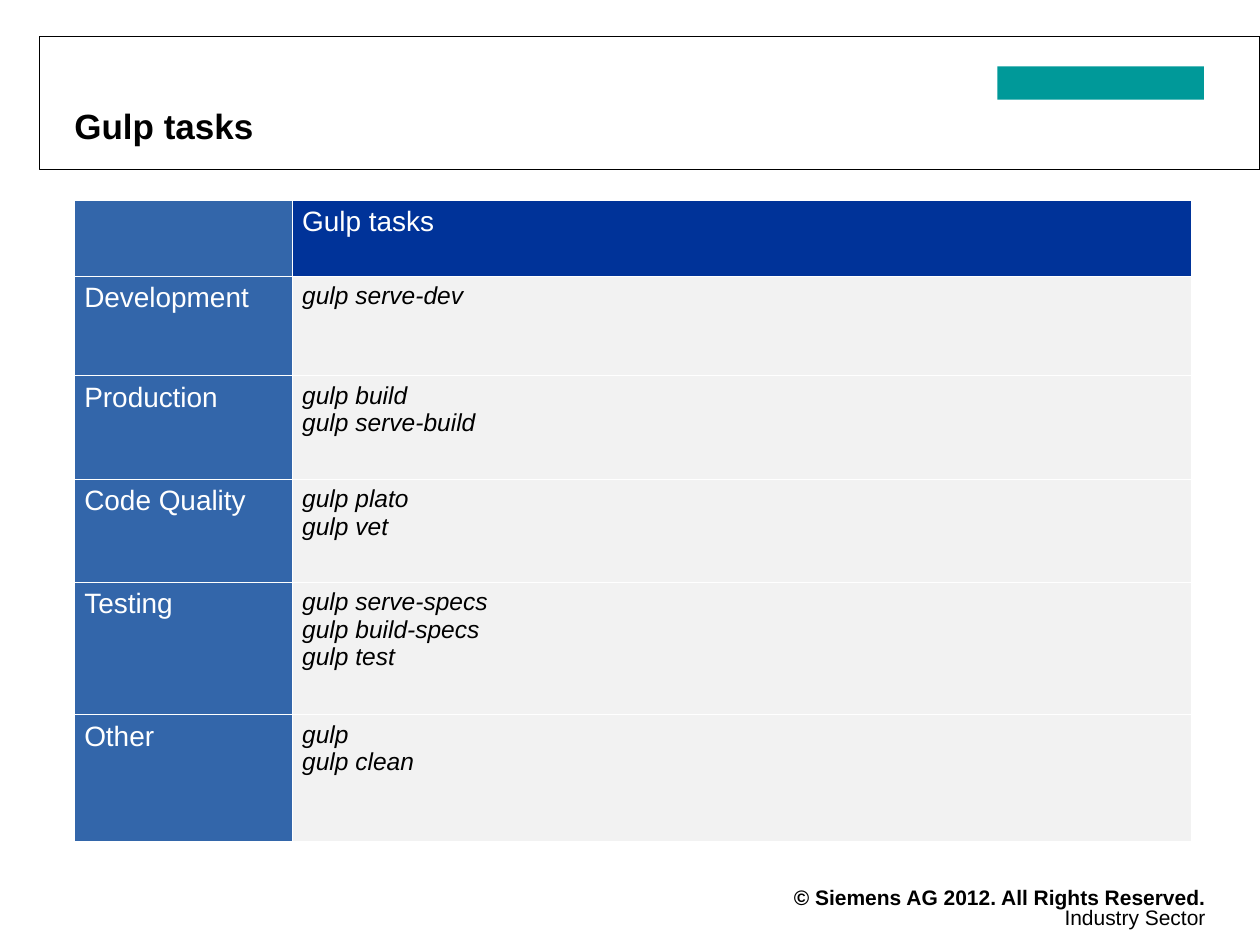
from lxml.etree import SubElement
from pptx import Presentation
from pptx.dml.color import RGBColor
from pptx.enum.shapes import MSO_SHAPE as Shape
from pptx.enum.text import MSO_ANCHOR as Anchor, PP_ALIGN as Align
from pptx.oxml.ns import qn
from pptx.util import Pt

COLORS = {
    "black": "000000", "white": "FFFFFF", "teal": "009999",
    "corner": "3366AA", "header": "003399", "body": "F2F2F2",
}
TASKS = [
    ("", ["Gulp tasks"], 43.4),
    ("Development", ["gulp serve-dev"], 57),
    ("Production", ["gulp build", "gulp serve-build"], 59),
    ("Code Quality", ["gulp plato", "gulp vet"], 59),
    ("Testing", ["gulp serve-specs", "gulp build-specs", "gulp test"], 75.8),
    ("Other", ["gulp", "gulp clean"], 72.4),
]
HEADING = {"size": Pt(16), "color": "white"}
COMMAND = {"size": Pt(14), "italic": True, "color": "black"}


def write(frame, lines, align, look):
    """Put one paragraph per line into the frame, all in the given look."""
    for number, line in enumerate(lines):
        paragraph = frame.paragraphs[0] if number == 0 else frame.add_paragraph()
        paragraph.alignment = align
        run = paragraph.add_run()
        run.text = line
        run.font.name = "Arial"
        for key, value in look.items():
            if key == "color":
                run.font.color.rgb = RGBColor.from_string(COLORS[value])
            else:
                setattr(run.font, key, value)


def set_borders(cell):
    properties = cell._tc.get_or_add_tcPr()
    for side in ("lnL", "lnR", "lnT", "lnB"):
        border = SubElement(properties, qn(f"a:{side}"), w=str(int(Pt(0.45))))
        fill = SubElement(border, qn("a:solidFill"))
        SubElement(fill, qn("a:srgbClr"), val=COLORS["white"])


deck = Presentation()
deck.slide_width, deck.slide_height = Pt(720), Pt(540)
slide = deck.slides.add_slide(deck.slide_layouts[6])
shapes = slide.shapes

# Footer lines, both resting on the slide's bottom edge
for line, top, bottom_inset, bold in (
    ("© Siemens AG 2012. All Rights Reserved.", 494, 26, True),
    ("Industry Sector", 512, 8.8, False),
):
    footer = shapes.add_textbox(Pt(371.5), Pt(top), Pt(348.5), Pt(540 - top)).text_frame
    layout = {"word_wrap": True, "vertical_anchor": Anchor.BOTTOM,
              "margin_left": 0, "margin_top": 0,
              "margin_right": Pt(31), "margin_bottom": Pt(bottom_inset)}
    for key, value in layout.items():
        setattr(footer, key, value)
    write(footer, [line], Align.RIGHT, {"size": Pt(12), "bold": bold, "color": "black"})

# Plain brand block
brand = shapes.add_shape(Shape.RECTANGLE, Pt(570), Pt(38), Pt(118), Pt(19))
brand.shadow.inherit = False
brand.fill.solid()
brand.fill.fore_color.rgb = RGBColor.from_string(COLORS["teal"])
brand.line.fill.background()

# Title frame
title = shapes.add_shape(Shape.RECTANGLE, Pt(22.5), Pt(21), Pt(697.5), Pt(76))
title.shadow.inherit = False
title.fill.background()
title.line.color.rgb = RGBColor.from_string(COLORS["black"])
title.line.width = Pt(0.75)
layout = {"word_wrap": True, "vertical_anchor": Anchor.BOTTOM,
          "margin_left": Pt(20), "margin_top": 0,
          "margin_right": Pt(178.5), "margin_bottom": Pt(13.5)}
for key, value in layout.items():
    setattr(title.text_frame, key, value)
write(title.text_frame, ["Gulp tasks"], Align.LEFT,
      {"size": Pt(20), "bold": True, "color": "black"})

# Task table
height = sum(row_height for _, _, row_height in TASKS)
table = shapes.add_table(len(TASKS), 2, Pt(42.3), Pt(114.3), Pt(638.5), Pt(height)).table
table.first_row = table.horz_banding = False
table.columns[0].width, table.columns[1].width = Pt(124.5), Pt(514)

for row, (stage, commands, row_height) in enumerate(TASKS):
    table.rows[row].height = Pt(row_height)
    right_fill, right_look = ("body", COMMAND) if row else ("header", HEADING)
    for column, (lines, fill, look) in enumerate((
        ([stage] if stage else [], "corner", HEADING),
        (commands, right_fill, right_look),
    )):
        cell = table.cell(row, column)
        set_borders(cell)
        cell.fill.solid()
        cell.fill.fore_color.rgb = RGBColor.from_string(COLORS[fill])
        cell.margin_left = cell.margin_right = Pt(5.9)
        cell.margin_top = cell.margin_bottom = Pt(3.6)
        write(cell.text_frame, lines, Align.LEFT, look)

deck.save("out.pptx")
